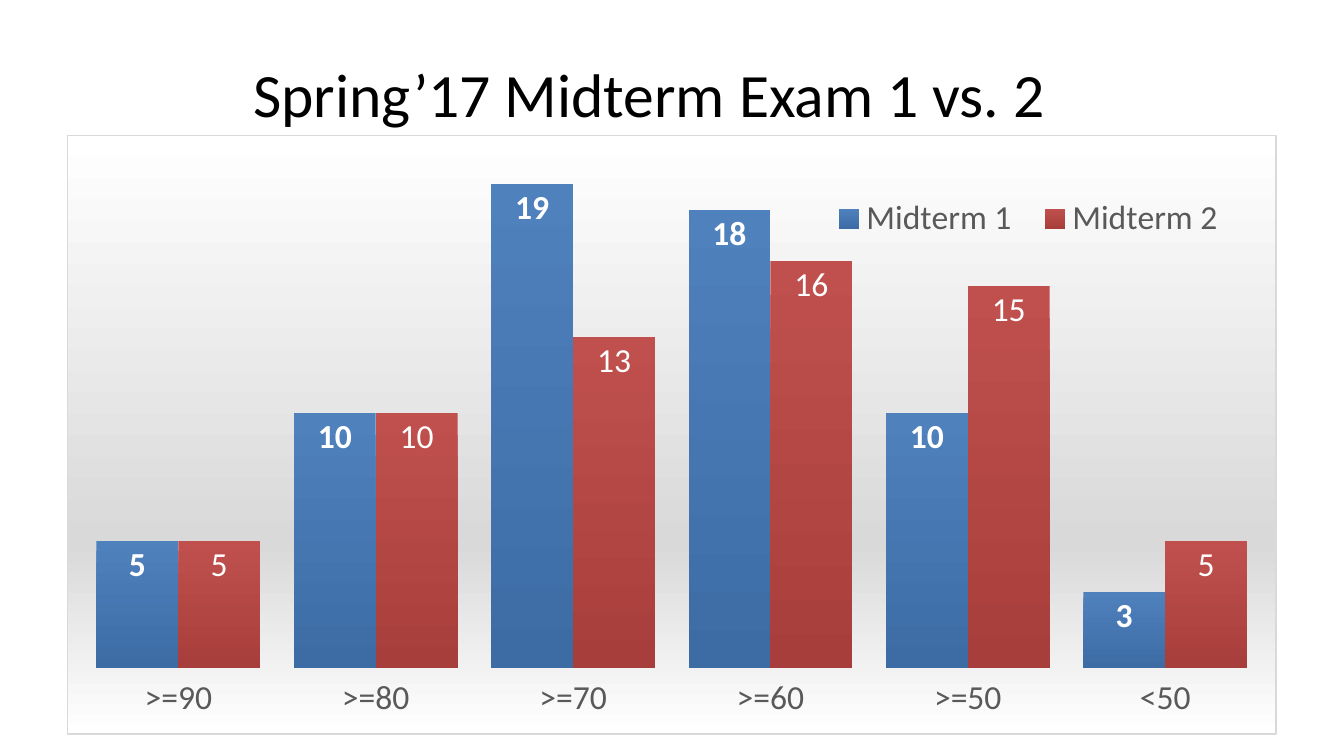
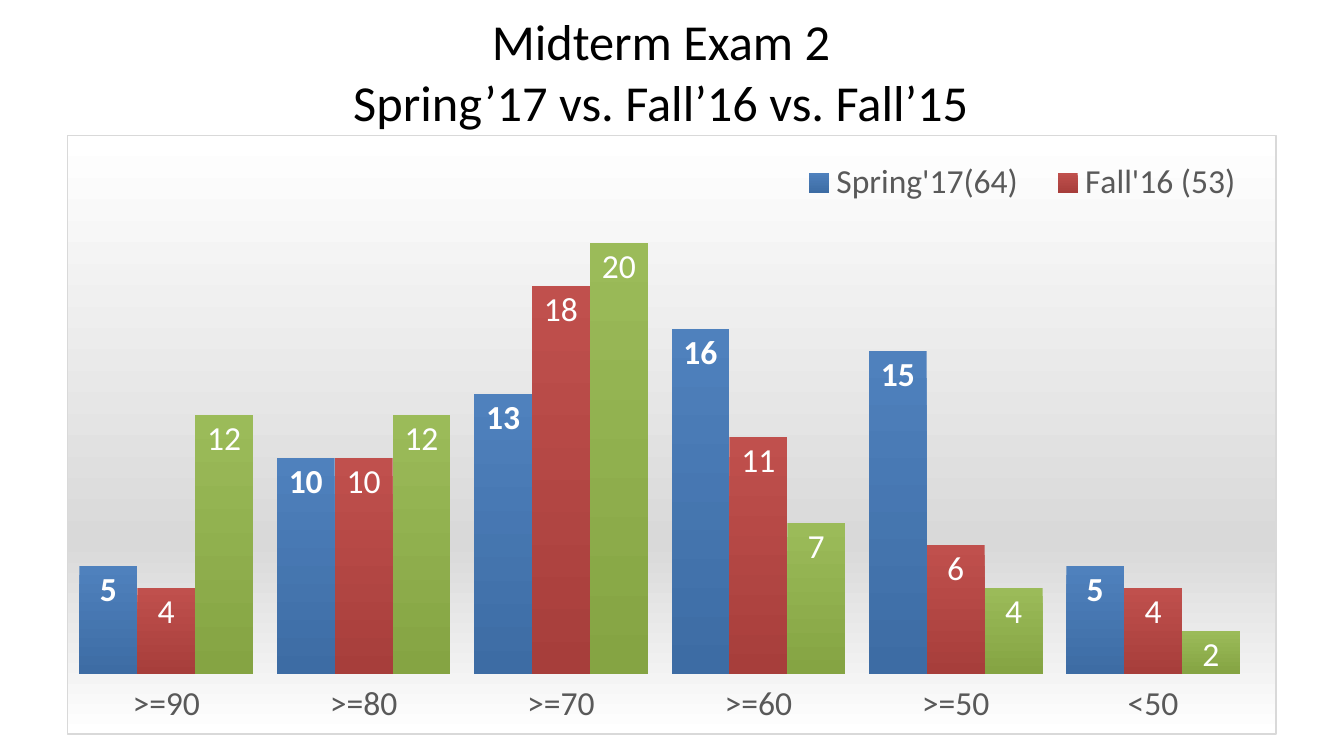
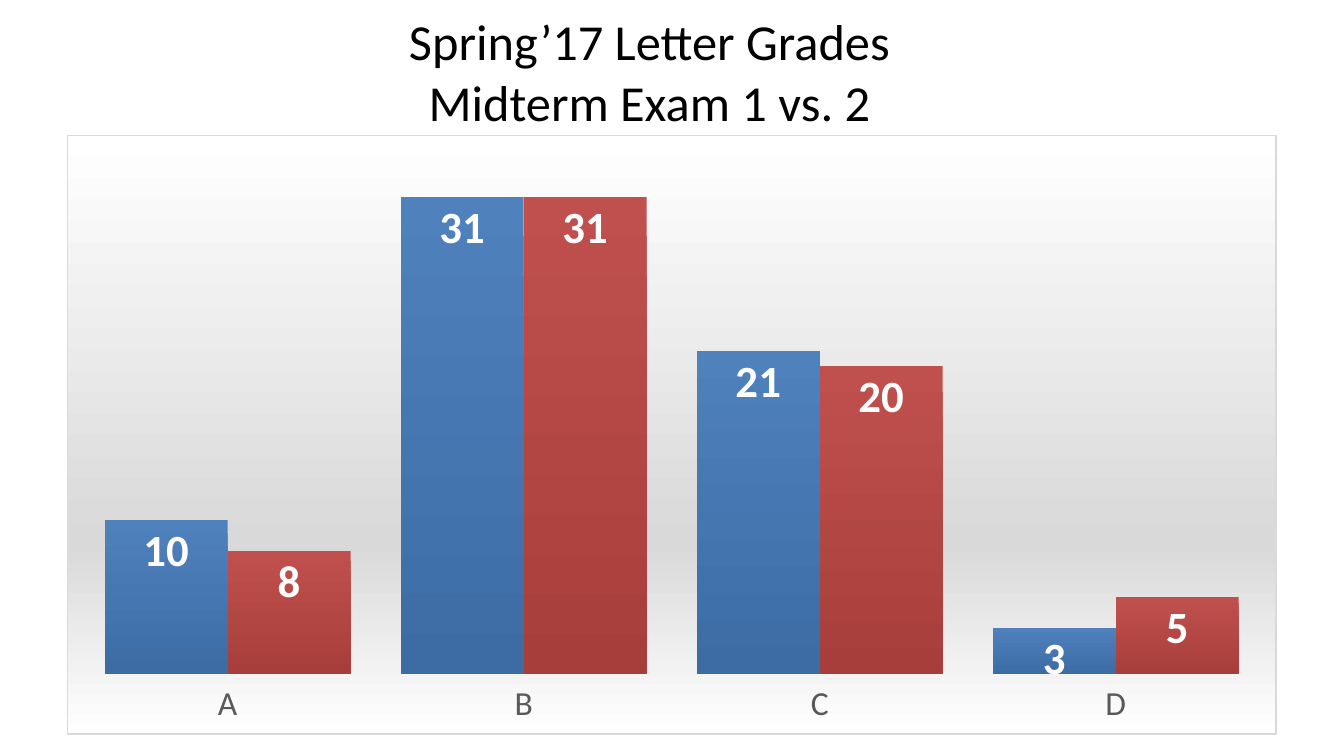
from lxml.etree import SubElement
from pptx import Presentation
from pptx.chart.data import CategoryChartData
from pptx.dml.color import RGBColor
from pptx.enum.chart import (XL_CHART_TYPE, XL_LABEL_POSITION, XL_LEGEND_POSITION,
                             XL_TICK_LABEL_POSITION, XL_TICK_MARK)
from pptx.enum.text import MSO_ANCHOR, MSO_AUTO_SIZE, PP_ALIGN
from pptx.oxml import parse_xml
from pptx.oxml.ns import nsdecls, qn
from pptx.util import Cm, Pt

FONT = "Calibri"
BLACK, WHITE, GREY, PALE = "000000", "FFFFFF", "595959", "D9D9D9"
SERIES_COLORS = [("4F81BD", "3D6CA4"), ("C0504D", "A73E3B"), ("9BBB59", "85A443")]
BACKDROP = [(0, WHITE), (68, PALE), (100, WHITE)]
CHART_BOX = (1.69, 3.39, 30.48, 15.12)
TITLE_SIZE = (29.36, 3.18)
SCORES = [">=90", ">=80", ">=70", ">=60", ">=50", "<50"]


def rgb(color):
    return RGBColor.from_string(color)


def style_font(font, size, color, name=None, bold=None):
    font.size = Pt(size)
    font.color.rgb = rgb(color)
    if name:
        font.name = name
    if bold is not None:
        font.bold = bold


def add_title(slide, left, top, lines, size):
    title = slide.shapes.title
    title.left, title.top = Cm(left), Cm(top)
    title.width, title.height = (Cm(n) for n in TITLE_SIZE)
    tf = title.text_frame
    tf.auto_size = MSO_AUTO_SIZE.NONE
    tf.vertical_anchor = MSO_ANCHOR.MIDDLE
    p = tf.paragraphs[0]
    p.alignment = PP_ALIGN.CENTER
    for i, line in enumerate(lines):
        if i:
            p.add_line_break()
        r = p.add_run()
        r.text = line
        style_font(r.font, size, BLACK, FONT)


def make_layout(box, inner=False):
    layout = parse_xml(f"<c:layout {nsdecls('c')}><c:manualLayout/></c:layout>")
    manual = layout[0]
    if inner:
        SubElement(manual, qn("c:layoutTarget")).set("val", "inner")
    for tag in ("c:xMode", "c:yMode"):
        SubElement(manual, qn(tag)).set("val", "edge")
    for tag, value in zip("xywh", box):
        SubElement(manual, qn(f"c:{tag}")).set("val", str(value))
    return layout


def drop_layout(parent):
    for layout in parent.findall(qn("c:layout")):
        parent.remove(layout)


def add_backdrop(chart):
    stops = "".join(f'<a:gs pos="{pos * 1000}"><a:srgbClr val="{color}"/></a:gs>'
                    for pos, color in BACKDROP)
    area = parse_xml(
        f"<c:spPr {nsdecls('c', 'a')}><a:gradFill><a:gsLst>{stops}</a:gsLst>"
        f'<a:lin ang="5400000" scaled="0"/></a:gradFill><a:ln w="9525"><a:solidFill>'
        f'<a:srgbClr val="{PALE}"/></a:solidFill></a:ln></c:spPr>')
    chart.element.find(qn("c:txPr")).addprevious(area)


def add_legend(chart, box, hidden):
    chart.has_legend = True
    legend = chart.legend
    legend.position = XL_LEGEND_POSITION.TOP
    legend.include_in_layout = False
    style_font(legend.font, 24, GREY, FONT)
    node = chart.element.find(".//" + qn("c:legend"))
    drop_layout(node)
    position = node.find(qn("c:legendPos"))
    position.addnext(make_layout(box))
    for index in reversed(hidden):
        position.addnext(parse_xml(
            f'<c:legendEntry {nsdecls("c")}><c:idx val="{index}"/>'
            f'<c:delete val="1"/></c:legendEntry>'))


def style_series(series, colors, size, bold):
    series.invert_if_negative = False
    fill = series.format.fill
    fill.gradient()
    fill.gradient_angle = 270
    for stop, color, pos in zip(fill.gradient_stops, colors, (0, 1)):
        stop.color.rgb = rgb(color)
        stop.position = pos
    labels = series.data_labels
    labels.show_value = True
    labels.position = XL_LABEL_POSITION.INSIDE_END
    style_font(labels.font, size, WHITE, FONT, bold)


def add_column_chart(slide, box, cats, series, top_value, plot_box, label_size=24,
                     bold_count=1, legend_box=None, hidden=()):
    data = CategoryChartData()
    data.categories = cats
    for name, values in series:
        data.add_series(name, values)
    chart = slide.shapes.add_chart(
        XL_CHART_TYPE.COLUMN_CLUSTERED, *(Cm(n) for n in box), data).chart
    chart.has_title = False
    chart.has_legend = False
    style_font(chart.font, 10, BLACK)
    add_backdrop(chart)

    plot = chart.plots[0]
    plot.gap_width, plot.overlap = 41, 0
    plot.vary_by_categories = False
    area = chart.element.find(".//" + qn("c:plotArea"))
    drop_layout(area)
    area.insert(0, make_layout(plot_box, inner=True))

    axis = chart.value_axis
    axis.minimum_scale, axis.maximum_scale = 0, top_value
    axis.has_major_gridlines = False
    axis.visible = False
    axis = chart.category_axis
    axis.major_tick_mark = axis.minor_tick_mark = XL_TICK_MARK.NONE
    axis.tick_label_position = XL_TICK_LABEL_POSITION.LOW
    axis.format.line.fill.background()
    style_font(axis.tick_labels.font, 24, GREY)

    for i, (s, colors) in enumerate(zip(plot.series, SERIES_COLORS)):
        style_series(s, colors, label_size, i < bold_count)
    if legend_box:
        add_legend(chart, legend_box, hidden)


SLIDES = [
    dict(title=(1.69, 0.76, ["Spring’17 Midterm Exam 1 vs. 2"], 44),
         chart=dict(cats=SCORES, top_value=20, plot_box=(0.01, 0.04, 0.98, 0.85),
                    series=[("Midterm 1", [5, 10, 19, 18, 10, 3]),
                            ("Midterm 2", [5, 10, 13, 16, 15, 5])],
                    legend_box=(0.62, 0.1, 0.35, 0.08))),
    dict(title=(1.98, 0.2, ["Midterm Exam 2", "Spring’17 vs. Fall’16 vs. Fall’15"], 36),
         chart=dict(cats=SCORES, top_value=25, plot_box=(0, 0, 0.98, 0.9),
                    series=[("Spring'17(64)", [5, 10, 13, 16, 15, 5]),
                            ("Fall'16 (53)", [4, 10, 18, 11, 6, 4]),
                            ("Fall15 (57)", [12, 12, 20, 7, 4, 2])],
                    legend_box=(0.59, 0.04, 0.4, 0.08), hidden=[2])),
    dict(title=(1.69, 0.2, ["Spring’17 Letter Grades", "Midterm Exam 1 vs. 2"], 36),
         chart=dict(cats=list("ABCD"), top_value=35, plot_box=(0.01, 0, 0.98, 0.9),
                    series=[("Series 1", [10, 31, 21, 3]),
                            ("Series 2", [8, 31, 20, 5])],
                    label_size=32, bold_count=2)),
]


def main():
    prs = Presentation()
    prs.slide_width, prs.slide_height = Cm(33.87), Cm(19.05)
    for content in SLIDES:
        slide = prs.slides.add_slide(prs.slide_layouts[5])
        add_title(slide, *content["title"])
        add_column_chart(slide, CHART_BOX, **content["chart"])
    prs.save("out.pptx")


if __name__ == "__main__":
    main()
